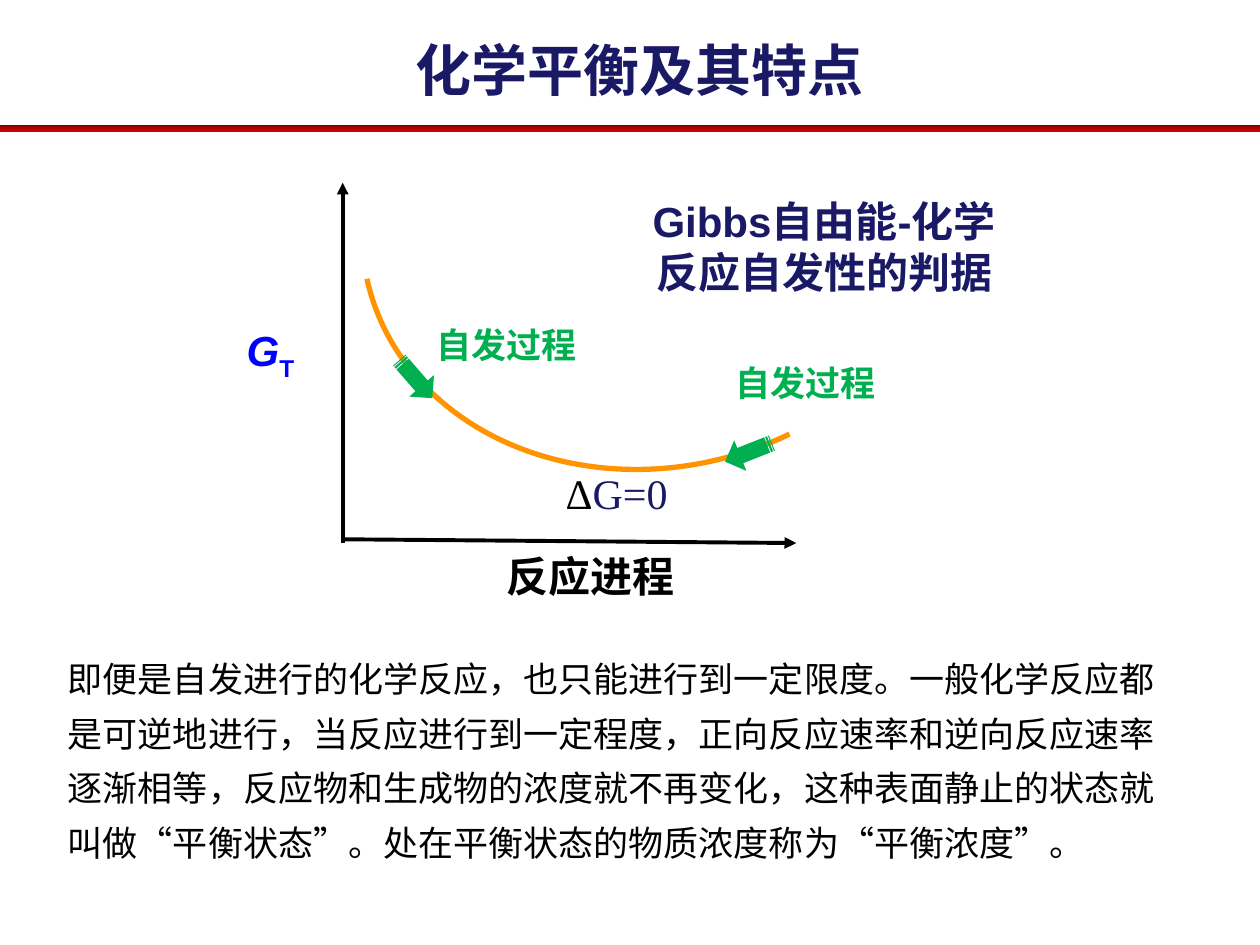
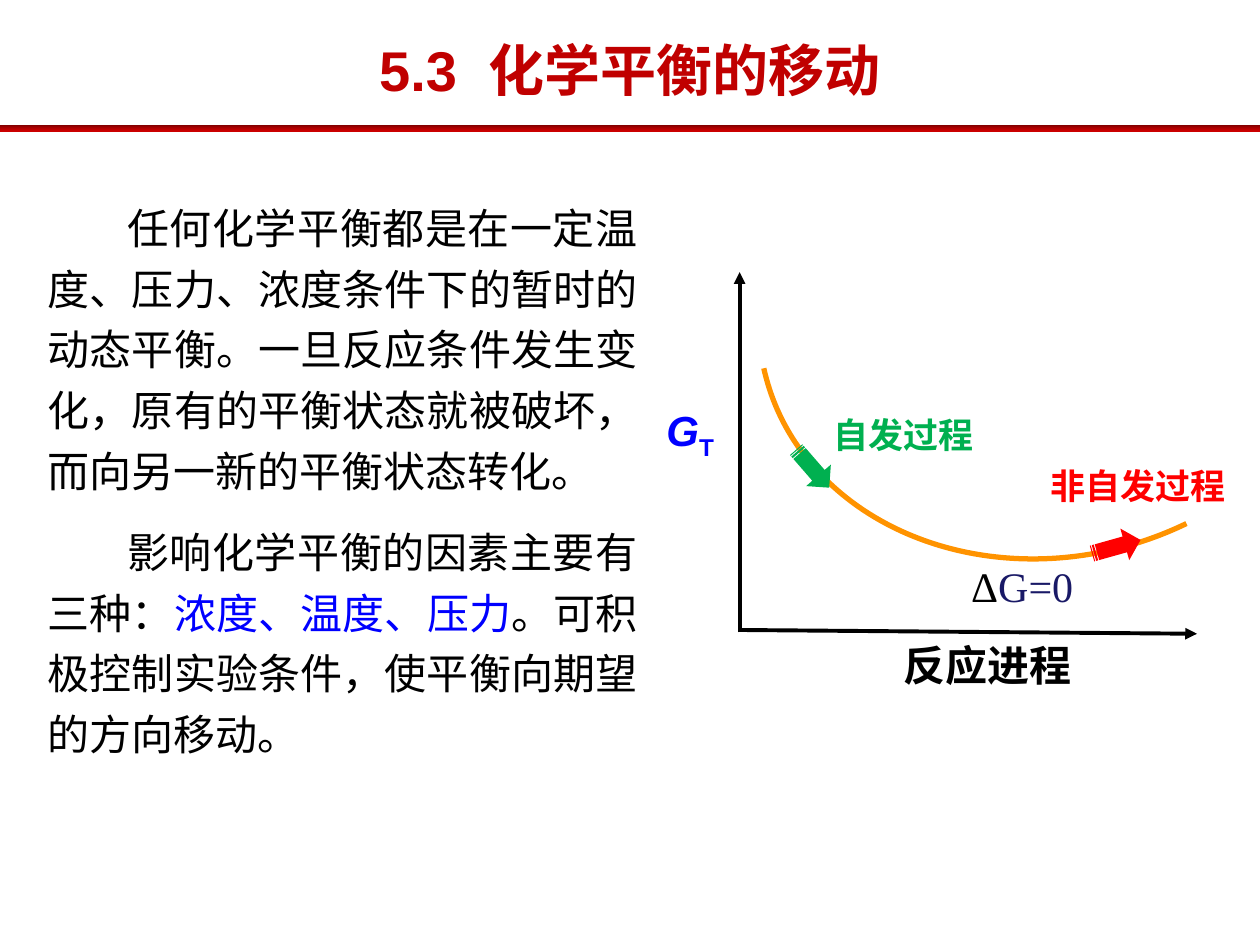
from copy import deepcopy
from pptx import Presentation
from pptx.dml.color import RGBColor
from pptx.enum.shapes import MSO_CONNECTOR, MSO_SHAPE
from pptx.enum.text import MSO_ANCHOR, PP_ALIGN
from pptx.oxml.ns import qn
from pptx.oxml.xmlchemy import OxmlElement
from pptx.util import Inches, Pt

NAVY = RGBColor(0x19, 0x19, 0x66)
CRIMSON = RGBColor(0xC0, 0x00, 0x00)
BLACK = RGBColor(0x00, 0x00, 0x00)
BLUE = RGBColor(0x00, 0x00, 0xFF)
GREEN = RGBColor(0x00, 0xB0, 0x50)
RED = RGBColor(0xFF, 0x00, 0x00)
ORANGE = RGBColor(0xFF, 0x93, 0x00)
BAND_STOPS = (
    (0, RGBColor(0x79, 0x00, 0x00)),
    (0.5, RGBColor(0xAC, 0x00, 0x00)),
    (1, RGBColor(0xCC, 0x00, 0x00)),
)
CJK = "Noto Sans CJK SC"
SERIF = "Times New Roman"


def add_run(p, text, size=24, color=BLACK, font="Arial", bold=False,
            italic=False, baseline=None, spacing=None):
    r = p.add_run()
    r.text = text
    r.font.size = Pt(size)
    r.font.color.rgb = color
    r.font.name = font
    r.font.bold = bold
    r.font.italic = italic
    rPr = r.font._element
    rPr.set("lang", "zh-CN")
    if baseline:
        rPr.set("baseline", str(baseline * 1000))
    if spacing:
        rPr.set("spc", str(spacing * 100))
    ea = OxmlElement("a:ea")
    ea.set("typeface", CJK)
    rPr.find(qn("a:latin")).addnext(ea)


def add_text(s, box, *paragraphs, align=PP_ALIGN.LEFT, anchor=MSO_ANCHOR.TOP,
             wrap=True, line=None, before=0, indent=0, **fmt):
    tf = s.shapes.add_textbox(*map(Inches, box)).text_frame
    tf.word_wrap = wrap
    tf.vertical_anchor = anchor
    for i, runs in enumerate(paragraphs):
        p = tf.add_paragraph() if i else tf.paragraphs[0]
        p.alignment = align
        if line:
            p.line_spacing = Pt(line)
        if i:
            p.space_before = Pt(before)
        if indent:
            p._p.get_or_add_pPr().set("indent", str(Inches(indent)))
        for text, own in [(runs, {})] if isinstance(runs, str) else runs:
            add_run(p, text, **{**fmt, **own})


def add_shape(s, kind, box, rotation=0, fill=None):
    sp = s.shapes.add_shape(kind, *map(Inches, box))
    sp.shadow.inherit = False
    sp.rotation = rotation
    sp.line.fill.background()
    if fill is None:
        sp.fill.background()
    else:
        sp.fill.solid()
        sp.fill.fore_color.rgb = fill
    return sp


def add_band(s):
    sp = add_shape(s, MSO_SHAPE.RECTANGLE, (0, 0.99, 10, 0.05))
    sp.fill.gradient()
    sp.fill.gradient_angle = 270
    stops = sp._element.spPr.find(qn("a:gradFill")).find(qn("a:gsLst"))
    stops.append(deepcopy(stops[0]))
    for stop, (position, color) in zip(sp.fill.gradient_stops, BAND_STOPS):
        stop.position = position
        stop.color.rgb = color


def add_title(s, box, runs, color):
    add_band(s)
    add_text(s, box, runs, size=32, color=color, bold=True,
             align=PP_ALIGN.CENTER, anchor=MSO_ANCHOR.MIDDLE)


def add_axis(s, start, end):
    c = s.shapes.add_connector(MSO_CONNECTOR.STRAIGHT,
                               *map(Inches, start + end))
    c.line.color.rgb = BLACK
    c.line.width = Pt(2.25)
    tail = OxmlElement("a:tailEnd")
    tail.set("type", "triangle")
    c.line._get_or_add_ln().append(tail)
    c._element.spPr.append(OxmlElement("a:effectLst"))


def add_process(s, label, label_box, arrow_at, rotation, color):
    add_text(s, label_box, label, size=20, color=color, font=CJK, bold=True,
             align=PP_ALIGN.CENTER)
    add_shape(s, MSO_SHAPE.STRIPED_RIGHT_ARROW, arrow_at + (0.4, 0.26),
              rotation, color)


def add_energy_diagram(s, x, y, axis_start, g_at, equilibrium_at):
    ax, ay = axis_start
    add_axis(s, axis_start, (ax + 3.61, ay + 0.03))
    add_axis(s, (x, y + 2.86), (x, y))
    arc = add_shape(s, MSO_SHAPE.ARC, (x + 0.13, y - 1.8, 4.78, 4.05), 165.3)
    arc.adjustments[0] = 152.76
    arc.adjustments[1] = 1.02
    arc.line.color.rgb = ORANGE
    arc.line.width = Pt(3)
    add_text(s, (x + 1.2, y + 2.87, 1.56, 0.42), "反应进程", font=CJK,
             bold=True, wrap=False)
    add_process(s, "自发过程", (x + 0.59, y + 1.07, 1.42, 0.36),
                (x + 0.38, y + 1.43), 49, GREEN)
    add_text(s, equilibrium_at + (1.01, 0.5),
             [("Δ", {}), ("G=0", {"color": NAVY})], font=SERIF, wrap=False)
    add_text(s, g_at + (0.6, 0.5),
             [("G", {"italic": True}), ("T", {"baseline": -25})],
             color=BLUE, bold=True, wrap=False)


def build_equilibrium(s):
    add_title(s, (0.83, 0.13, 8.5, 0.83), "化学平衡及其特点", NAVY)
    add_text(s, (0.44, 5.07, 8.89, 1.8),
             "即便是自发进行的化学反应，也只能进行到一定限度。一般化学反应都是可逆地进行，"
             "当反应进行到一定程度，正向反应速率和逆向反应速率逐渐相等，反应物和生成物的浓度"
             "就不再变化，这种表面静止的状态就叫做“平衡状态”。处在平衡状态的物质浓度称为"
             "“平衡浓度”。", size=20, line=31.2)
    add_text(s, (5.03, 1.54, 3.02, 0.83), "Gibbs自由能-化学反应自发性的判据",
             color=NAVY, bold=True, line=29, align=PP_ALIGN.CENTER,
             anchor=MSO_ANCHOR.MIDDLE)
    add_energy_diagram(s, 2.72, 1.45, axis_start=(2.71, 4.28),
                       g_at=(1.86, 2.53), equilibrium_at=(4.39, 3.66))
    add_process(s, "自发过程", (5.68, 2.82, 1.42, 0.36), (5.74, 3.46),
                158.4, GREEN)


def build_shift(s):
    add_title(s, (1.14, 0.13, 7.72, 0.83),
              [("5.3", {}), (" ", {"spacing": 9}), ("化学平衡的移动", {})],
              CRIMSON)
    add_text(s, (0.28, 1.48, 4.88, 4.62),
             "任何化学平衡都是在一定温度、压力、浓度条件下的暂时的动态平衡。一旦反应条件"
             "发生变化，原有的平衡状态就被破坏，而向另一新的平衡状态转化。",
             [("影响化学平衡的因素主要有三种：", {}),
              ("浓度、温度、压力", {"color": BLUE}),
              ("。可积极控制实验条件，使平衡向期望的方向移动。", {})],
             align=PP_ALIGN.JUSTIFY, line=34.6, before=12, indent=0.63)
    add_energy_diagram(s, 5.87, 2.16, axis_start=(5.89, 5),
                       g_at=(5.19, 3.16), equilibrium_at=(7.61, 4.4))
    add_process(s, "非自发过程", (8.17, 3.64, 1.72, 0.44), (8.66, 4.21),
                344.3, RED)


def main():
    prs = Presentation()
    prs.slide_width = Inches(10)
    prs.slide_height = Inches(7.5)
    for build in (build_equilibrium, build_shift):
        build(prs.slides.add_slide(prs.slide_layouts[6]))
    prs.save("out.pptx")


if __name__ == "__main__":
    main()
